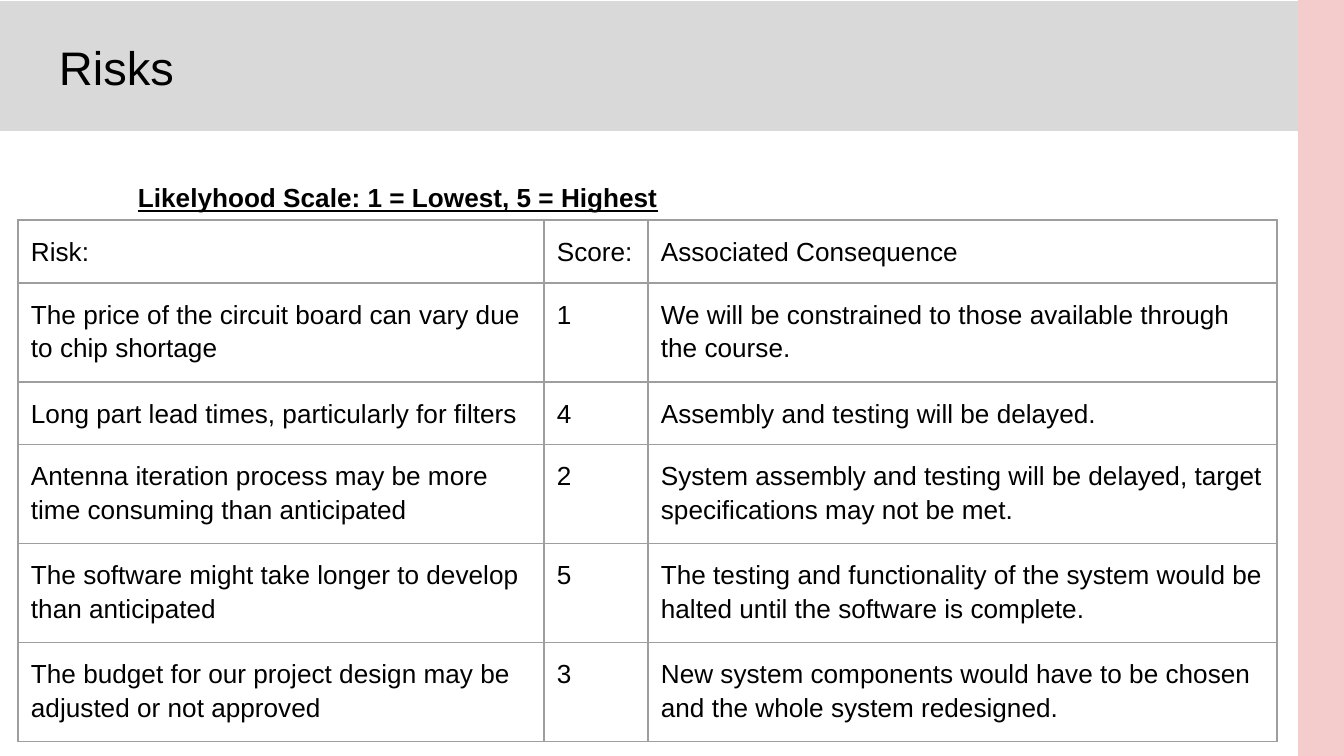
from lxml import etree
from pptx import Presentation
from pptx.dml.color import RGBColor
from pptx.enum.shapes import MSO_SHAPE
from pptx.enum.text import MSO_ANCHOR, MSO_AUTO_SIZE, PP_ALIGN
from pptx.oxml.ns import qn
from pptx.util import Pt

RECT = MSO_SHAPE.RECTANGLE
LEFT = PP_ALIGN.LEFT
TOP, MIDDLE = MSO_ANCHOR.TOP, MSO_ANCHOR.MIDDLE
FIXED = MSO_AUTO_SIZE.NONE

BLACK = RGBColor(0x00, 0x00, 0x00)
GRAY = RGBColor(0xD9, 0xD9, 0xD9)
PINK = RGBColor(0xF4, 0xCC, 0xCC)
RULE = RGBColor(0x9E, 0x9E, 0x9E)

SCALE = 914400 / 134.4
WIDTH, HEIGHT = 1344, 756
INSET = 13

COLS = [526, 104, 629]
ONE, TWO = 63, 99
RISKS = [
    (ONE, "Risk:", "Score:", "Associated Consequence"),
    (TWO, "The price of the circuit board can vary due to chip shortage", "1",
     "We will be constrained to those available through the course."),
    (ONE, "Long part lead times, particularly for filters", "4",
     "Assembly and testing will be delayed."),
    (TWO, "Antenna iteration process may be more time consuming than anticipated", "2",
     "System assembly and testing will be delayed, target specifications may not be met."),
    (TWO, "The software might take longer to develop than anticipated", "5",
     "The testing and functionality of the system would be halted until the software is complete."),
    (TWO, "The budget for our project design may be adjusted or not approved", "3",
     "New system components would have to be chosen and the whole system redesigned."),
]


def px(num):
    return round(num * SCALE)


def assign(item, values):
    for name, value in values.items():
        setattr(item, name, value)


class Deck:
    font = "Arial"

    def __init__(self):
        self.file = Presentation()
        assign(self.file, {"slide_width": px(WIDTH), "slide_height": px(HEIGHT)})
        self.slide = self.file.slides.add_slide(self.file.slide_layouts[5])
        self.shapes = self.slide.shapes

    def text(self, frame, words, size, space=1.0, **style):
        frame.text = words
        para = frame.paragraphs[0]
        assign(para, {"alignment": LEFT, "line_spacing": space})
        assign(para.runs[0].font, {"name": self.font, "size": Pt(size), **style})
        para.runs[0].font.color.rgb = BLACK
        return para

    def pad(self, item):
        for side in ("left", "top", "right", "bottom"):
            setattr(item, "margin_" + side, px(INSET))

    def band(self, x, y, w, h, color):
        shape = self.shapes.add_shape(RECT, px(x), px(y), px(w), px(h))
        shape.shadow.inherit = False
        shape.fill.solid()
        shape.fill.fore_color.rgb = color
        shape.line.fill.background()

    def title(self, x, y, w, h, words):
        shape = self.shapes.title
        assign(shape, {"left": px(x), "top": px(y), "width": px(w), "height": px(h)})
        frame = shape.text_frame
        assign(frame, {"word_wrap": True, "auto_size": FIXED, "vertical_anchor": MIDDLE})
        self.pad(frame)
        self.text(frame, words, 25.2)
        # Lift the title above the band
        shape.element.getparent().append(shape.element)

    def label(self, x, y, w, h, words, indent):
        frame = self.shapes.add_textbox(px(x), px(y), px(w), px(h)).text_frame
        assign(frame, {"word_wrap": True, "vertical_anchor": TOP})
        self.pad(frame)
        para = self.text(frame, words, 14, 1.5, bold=True, underline=True)
        para.space_after = Pt(10)
        props = para._p.get_or_add_pPr()
        props.set("marL", str(px(indent)))
        props.set("indent", "0")

    def border(self, cell):
        props = cell._tc.get_or_add_tcPr()
        for spot, side in enumerate(("lnL", "lnR", "lnT", "lnB")):
            line = etree.Element(qn("a:" + side), w=str(Pt(0.75)))
            fill = etree.SubElement(line, qn("a:solidFill"))
            etree.SubElement(fill, qn("a:srgbClr"), val=str(RULE))
            props.insert(spot, line)

    def table(self, x, y, cols, rows):
        high = sum(row[0] for row in rows)
        grid = self.shapes.add_table(len(rows), len(cols), px(x), px(y),
                                     px(sum(cols)), px(high)).table
        assign(grid, {"first_row": False, "horz_banding": False})
        for col, wide in zip(grid.columns, cols):
            col.width = px(wide)
        for row, (tall, *texts) in zip(grid.rows, rows):
            row.height = px(tall)
            for cell, words in zip(row.cells, texts):
                self.pad(cell)
                cell.vertical_anchor = TOP
                cell.fill.background()
                self.text(cell.text_frame, words, 14, 1.15)
                self.border(cell)


def main():
    deck = Deck()

    # Header and side bands
    deck.band(0, 1, WIDTH, 130, GRAY)
    deck.title(46, 24, 1253, 85, "Risks")
    deck.band(1298, 0, 46, HEIGHT, PINK)

    # Scale note and risk table
    deck.label(58, 153, 1228, 59, "Likelyhood Scale: 1 = Lowest, 5 = Highest", 67)
    deck.table(18, 220, COLS, RISKS)

    deck.file.save("out.pptx")


if __name__ == "__main__":
    main()
